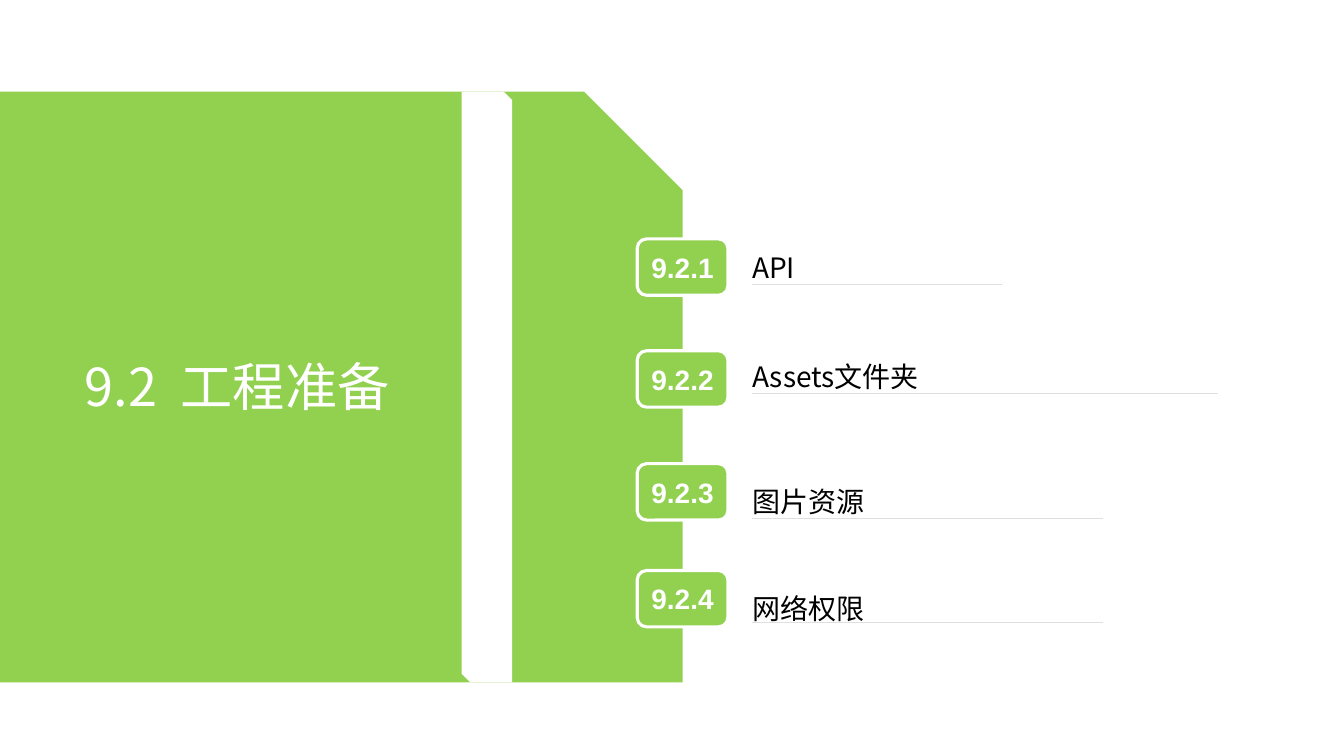
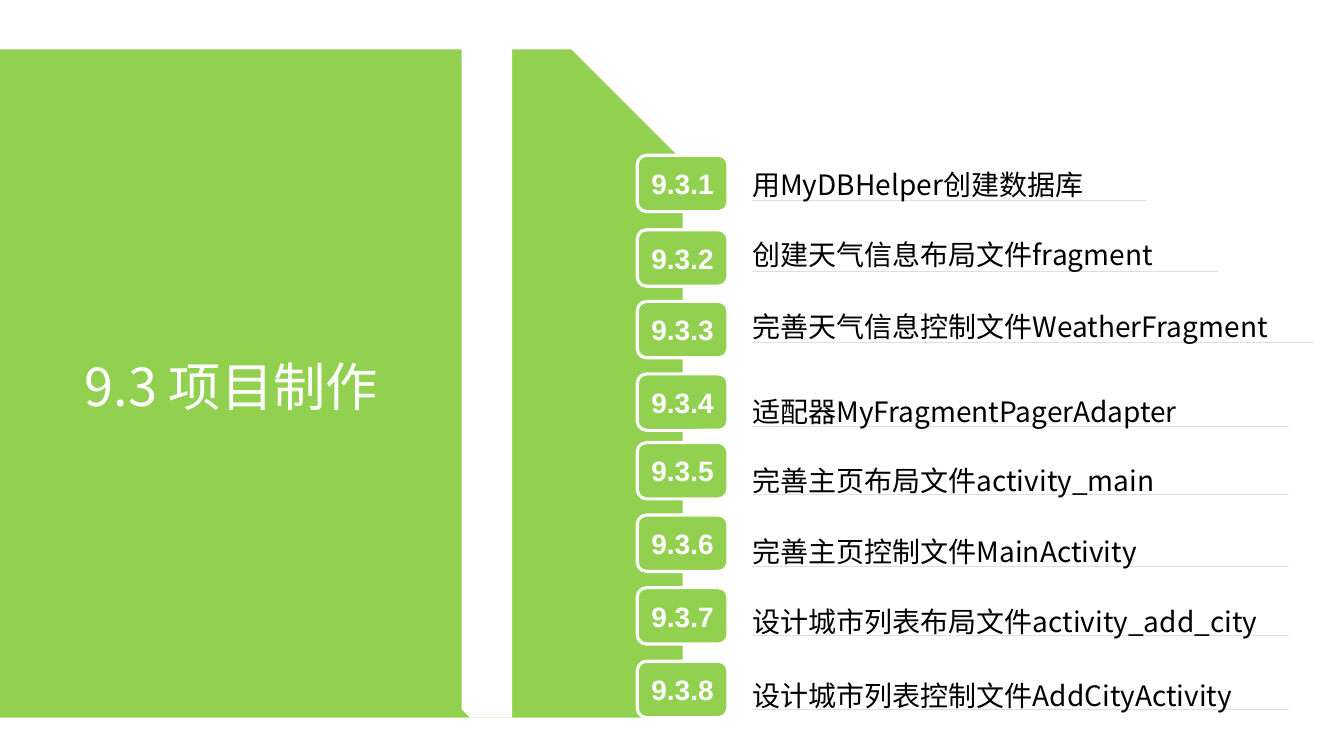
from dataclasses import dataclass

from lxml import etree
from pptx import Presentation
from pptx.dml.color import RGBColor
from pptx.enum.shapes import MSO_SHAPE
from pptx.enum.text import MSO_ANCHOR, MSO_AUTO_SIZE, PP_ALIGN
from pptx.oxml.ns import qn
from pptx.presentation import Presentation as PresentationType
from pptx.shapes.autoshape import Shape
from pptx.slide import Slide
from pptx.text.text import TextFrame
from pptx.util import Inches, Pt

GREEN = RGBColor(0x92, 0xD0, 0x50)
WHITE = RGBColor(0xFF, 0xFF, 0xFF)
BLACK = RGBColor(0x00, 0x00, 0x00)

LEFT = PP_ALIGN.LEFT
CENTER = PP_ALIGN.CENTER
MIDDLE = MSO_ANCHOR.MIDDLE
NO_AUTOFIT = MSO_AUTO_SIZE.NONE
GROW_SHAPE = MSO_AUTO_SIZE.SHAPE_TO_FIT_TEXT
PANEL_SHAPE = MSO_SHAPE.SNIP_1_RECTANGLE
STRIPE_SHAPE = MSO_SHAPE.SNIP_2_DIAG_RECTANGLE
BADGE_SHAPE = MSO_SHAPE.ROUNDED_RECTANGLE

TEXT_FONT = "Noto Sans CJK SC"
BADGE_FONT = "Arial"
TITLE_ONLY_LAYOUT = 5

PANEL_LEFT, PANEL_WIDTH = -0.03, 6.8
STRIPE_LEFT, STRIPE_WIDTH = 4.58, 0.5
BADGE_LEFT, BADGE_WIDTH, BADGE_HEIGHT = 6.32, 0.9, 0.56
LABEL_LEFT = 7.46


@dataclass(frozen=True)
class Topic:
    text: str
    badge_top: float
    label_top: float
    underline_top: float
    underline_width: float
    line_spacing: float = 1.3


@dataclass(frozen=True)
class Section:
    number: str
    title: str
    panel_top: float
    stripe_top: float
    bottom: float
    topics: tuple[Topic, ...]


SECTIONS = (
    Section("9.2", "9.2  工程准备", 0.91, 0.91, 6.77, (
        Topic("API", 2.37, 2.49, 2.82, 2.48, 1.0),
        Topic("Assets文件夹", 3.48, 3.56, 3.9, 4.62, 1.0),
        Topic("图片资源", 4.6, 4.7, 5.14, 3.48),
        Topic("网络权限", 5.66, 5.78, 6.18, 3.48),
    )),
    Section("9.3", "9.3 项目制作", 0.49, 0.37, 7.12, (
        Topic("用MyDBHelper创建数据库", 1.54, 1.66, 1.99, 3.91, 1.0),
        Topic("创建天气信息布局文件fragment", 2.28, 2.36, 2.69, 4.62, 1.0),
        Topic("完善天气信息控制文件WeatherFragment", 2.99, 3.07, 3.4, 5.57, 1.0),
        Topic("适配器MyFragmentPagerAdapter", 3.71, 3.83, 4.23, 5.32),
        Topic("完善主页布局文件activity_main", 4.39, 4.52, 4.91, 5.32),
        Topic("完善主页控制文件MainActivity", 5.11, 5.22, 5.62, 5.32),
        Topic("设计城市列表布局文件activity_add_city", 5.83, 5.91, 6.31, 5.32),
        Topic("设计城市列表控制文件AddCityActivity", 6.56, 6.65, 7.04, 5.32),
    )),
)


def write_text(
    text_frame: TextFrame,
    text: str,
    *,
    size: float = 20,
    font_name: str = TEXT_FONT,
    color: RGBColor = BLACK,
    bold: bool = False,
    alignment: PP_ALIGN = LEFT,
    line_spacing: float = 1.0,
    side_margin: float = 0,
    auto_size: MSO_AUTO_SIZE = NO_AUTOFIT,
) -> None:
    text_frame.auto_size = auto_size
    text_frame.word_wrap = True
    text_frame.vertical_anchor = MIDDLE
    text_frame.margin_left = text_frame.margin_right = Inches(side_margin)
    text_frame.margin_top = text_frame.margin_bottom = 0
    paragraph = text_frame.paragraphs[0]
    paragraph.alignment = alignment
    paragraph.line_spacing = line_spacing
    run = paragraph.add_run()
    run.text = text
    run.font.size = Pt(size)
    run.font.bold = bold
    run.font.color.rgb = color
    run.font.name = font_name
    properties = run._r.get_or_add_rPr()
    etree.SubElement(properties, qn("a:ea")).set("typeface", font_name)


def fill_plain(shape: Shape, fill: RGBColor) -> None:
    shape.shadow.inherit = False
    shape.fill.solid()
    shape.fill.fore_color.rgb = fill
    shape.line.fill.background()


def add_filled_shape(
    slide: Slide,
    kind: MSO_SHAPE,
    left: float,
    top: float,
    width: float,
    height: float,
    fill: RGBColor,
) -> Shape:
    shape = slide.shapes.add_shape(
        kind, Inches(left), Inches(top), Inches(width), Inches(height)
    )
    fill_plain(shape, fill)
    return shape


def place_title(slide: Slide, text: str) -> None:
    title = slide.shapes.title
    title.left, title.top = Inches(0.74), Inches(3.41)
    title.width, title.height = Inches(3.96), Inches(0.84)
    write_text(title.text_frame, text, size=37.3, color=WHITE, side_margin=0.1)
    slide.shapes.element.append(title.element)


def add_underlined_label(slide: Slide, topic: Topic) -> None:
    left, top = Inches(LABEL_LEFT), Inches(topic.label_top)
    right = Inches(LABEL_LEFT + topic.underline_width)
    bottom = Inches(topic.underline_top)
    builder = slide.shapes.build_freeform(left, bottom)
    builder.add_line_segments([(right, bottom), (left, bottom)], close=True)
    builder.move_to(left, top)
    builder.add_line_segments([(left, top)], close=True)
    label = builder.convert_to_shape()
    fill_plain(label, BLACK)
    write_text(
        label.text_frame, topic.text,
        line_spacing=topic.line_spacing, auto_size=GROW_SHAPE,
    )


def add_topic(slide: Slide, number: str, topic: Topic) -> None:
    badge = add_filled_shape(
        slide, BADGE_SHAPE, BADGE_LEFT, topic.badge_top, BADGE_WIDTH, BADGE_HEIGHT, GREEN
    )
    badge.line.color.rgb = WHITE
    badge.line.width = Pt(2.25)
    write_text(
        badge.text_frame, number,
        font_name=BADGE_FONT, color=WHITE, bold=True, alignment=CENTER,
    )
    add_underlined_label(slide, topic)


def add_section(presentation: PresentationType, section: Section) -> None:
    slide = presentation.slides.add_slide(presentation.slide_layouts[TITLE_ONLY_LAYOUT])
    add_filled_shape(
        slide, PANEL_SHAPE, PANEL_LEFT, section.panel_top,
        PANEL_WIDTH, section.bottom - section.panel_top, GREEN,
    )
    add_filled_shape(
        slide, STRIPE_SHAPE, STRIPE_LEFT, section.stripe_top,
        STRIPE_WIDTH, section.bottom - section.stripe_top, WHITE,
    )
    place_title(slide, section.title)
    for index, topic in enumerate(section.topics, start=1):
        add_topic(slide, f"{section.number}.{index}", topic)


def main() -> None:
    presentation = Presentation()
    presentation.slide_width = Inches(13.33)
    presentation.slide_height = Inches(7.5)
    for section in SECTIONS:
        add_section(presentation, section)
    presentation.save("out.pptx")


if __name__ == "__main__":
    main()
